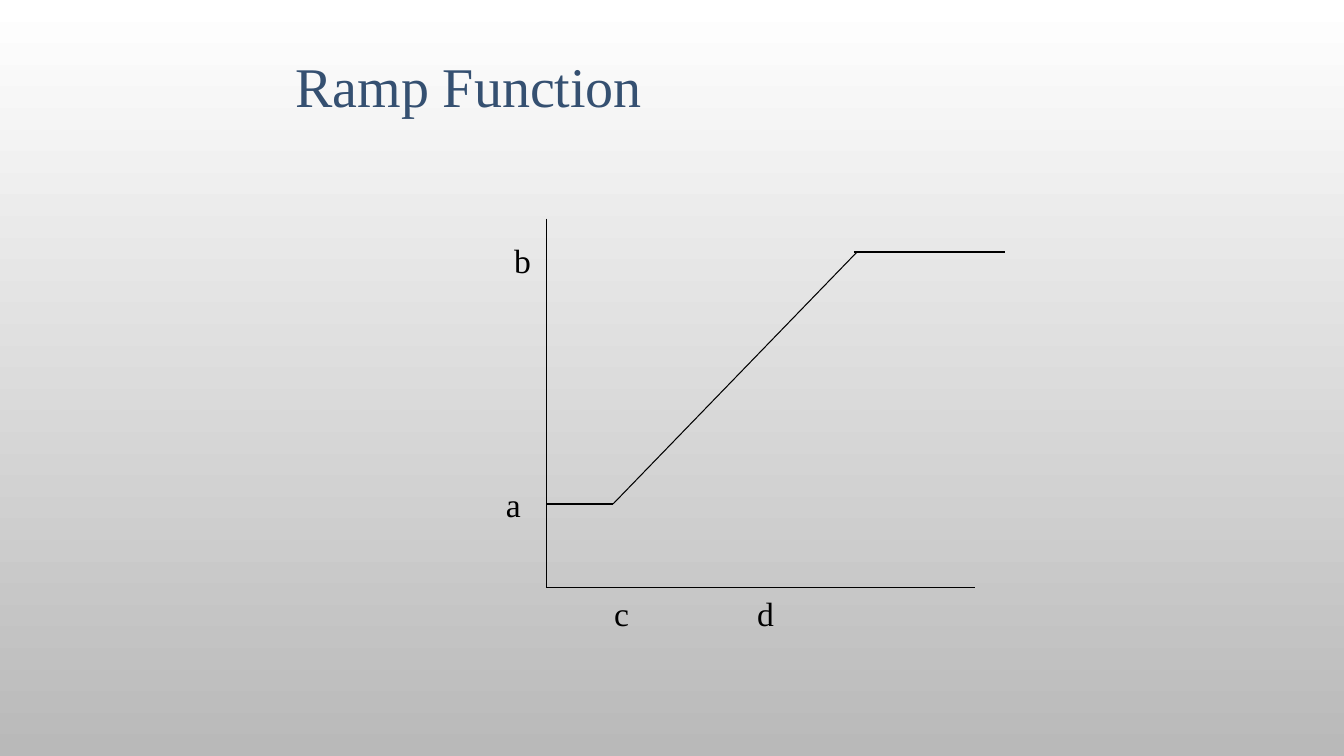
from pptx import Presentation
from pptx.dml.color import RGBColor
from pptx.enum.shapes import MSO_CONNECTOR
from pptx.enum.text import MSO_ANCHOR, PP_ALIGN
from pptx.oxml.ns import qn
from pptx.util import Inches, Pt
from lxml.etree import SubElement

COLORS = {"ink": "000000", "title": "355071", "top": "FFFFFF", "bottom": "B9B9B9"}
FONT = "Times New Roman"


def style_text(frame, size, color):
    """Format the single line of a text frame."""
    line = frame.paragraphs[0]
    line.alignment = PP_ALIGN.LEFT
    for run in line.runs:
        run.font.name = FONT
        run.font.size = Pt(size)
        run.font.color.rgb = RGBColor.from_string(COLORS[color])
    return line


def paint_background(slide):
    """Fill the slide with a vertical gradient."""
    fill = slide.background.fill
    fill.gradient()
    fill.gradient_angle = 270
    for stop, position, name in zip(fill.gradient_stops, (0, 1), ("top", "bottom")):
        stop.position = position
        stop.color.rgb = RGBColor.from_string(COLORS[name])


def place_title(slide, left, top, width, height):
    """Place the heading in the title placeholder."""
    heading = slide.shapes.title
    heading.left, heading.top = Inches(left), Inches(top)
    heading.width, heading.height = Inches(width), Inches(height)
    frame = heading.text_frame
    frame.text = "Ramp Function"
    frame.vertical_anchor = MSO_ANCHOR.TOP
    frame.margin_top = Inches(0.1)
    style_text(frame, 40, "title")


def add_line(slide, start, end):
    """Draw a thin straight line between two points."""
    points = [Inches(value) for value in (*start, *end)]
    segment = slide.shapes.add_connector(MSO_CONNECTOR.STRAIGHT, *points)
    segment.line.color.rgb = RGBColor.from_string(COLORS["ink"])
    segment.line.width = Pt(0.75)
    SubElement(segment._element.spPr, qn("a:effectLst"))


def add_label(slide, text, left, top, width, indent=0.1, tab=None):
    """Write an axis label, with an optional tab stop."""
    label = slide.shapes.add_textbox(Inches(left), Inches(top), Inches(width), Inches(0.5))
    frame = label.text_frame
    frame.word_wrap = True
    frame.margin_left = Inches(indent)
    frame.text = text
    line = style_text(frame, 24, "ink")
    if tab:
        stops = SubElement(line._p.get_or_add_pPr(), qn("a:tabLst"))
        SubElement(stops, qn("a:tab"), pos=str(Inches(tab)), algn="l")


def draw_ramp(slide, left, top, width, height):
    """Draw the axes, the ramp and its labels."""
    bottom = top + height
    low, high = bottom - 0.83, top + 0.33
    rise_start, rise_end = left + 0.66, left + 3.08
    add_line(slide, (left, top), (left, bottom))
    add_line(slide, (left, bottom), (left + width, bottom))
    add_label(slide, "c\td", left + 0.25, bottom, 3.75, indent=0.42, tab=1.42)
    add_label(slide, "b", left - 0.42, high - 0.17, 0.33)
    add_label(slide, "a", left - 0.5, low - 0.25, 0.42)
    add_line(slide, (left, low), (rise_start, low))
    add_line(slide, (rise_end - 0.03, high), (rise_end + 1.47, high))
    add_line(slide, (rise_start, low), (rise_end, high))


def main():
    """Build and save the slide."""
    deck = Presentation()
    deck.slide_width, deck.slide_height = Inches(13.33), Inches(7.5)
    slide = deck.slides.add_slide(deck.slide_layouts[5])
    paint_background(slide)
    place_title(slide, 2.83, 0.41, 5.92, 0.77)
    draw_ramp(slide, 5.42, 2.17, 4.25, 3.66)
    deck.save("out.pptx")


if __name__ == "__main__":
    main()
